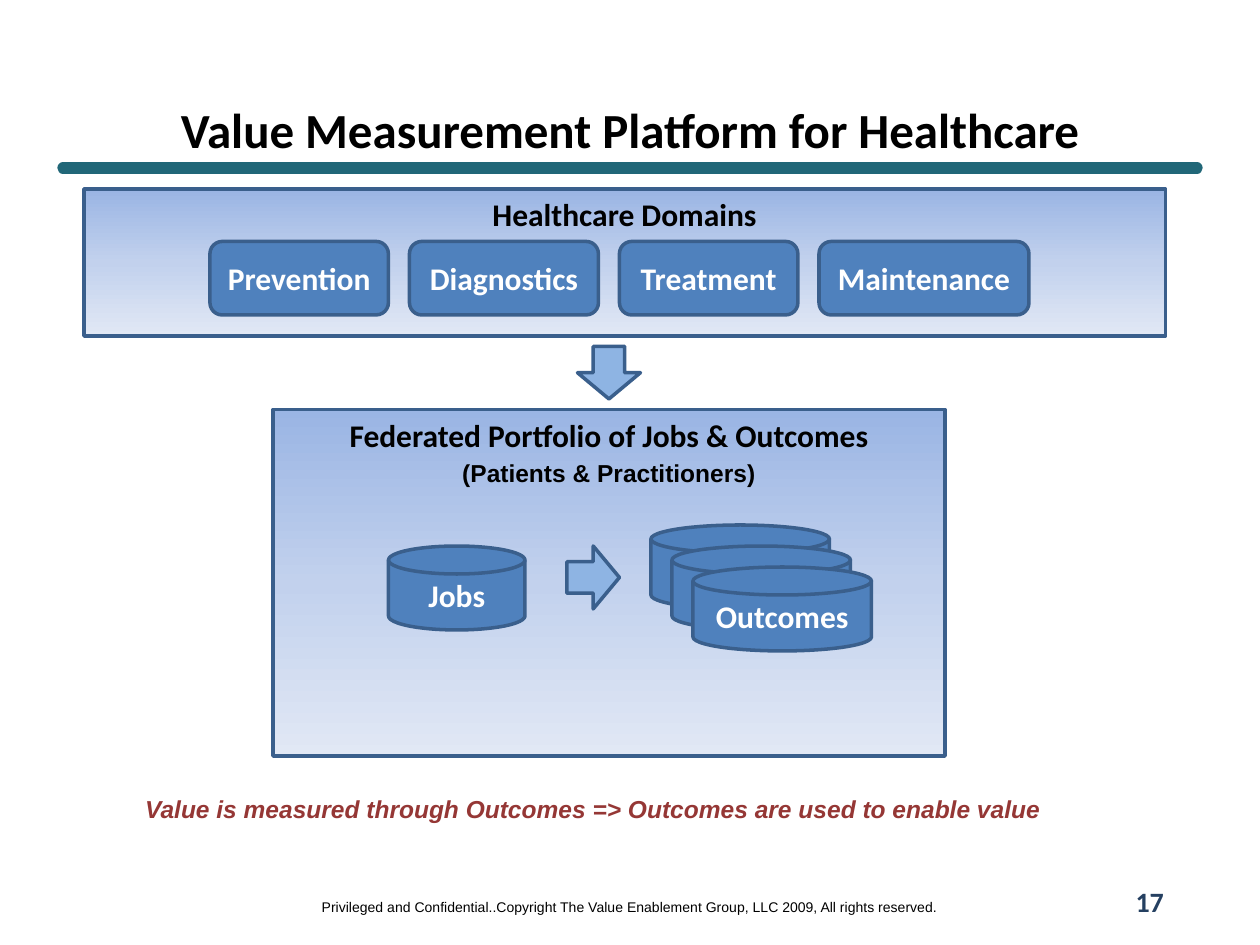
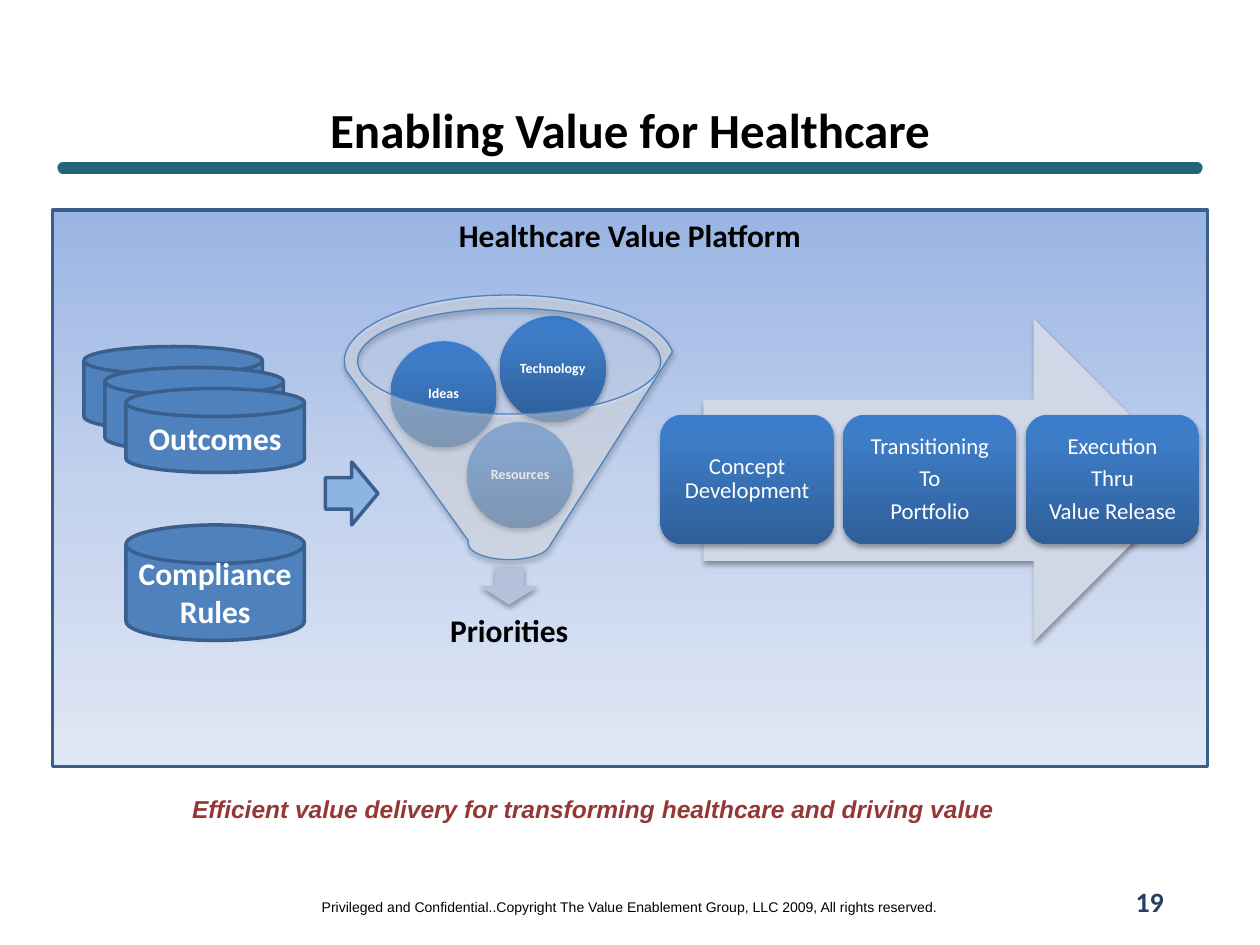
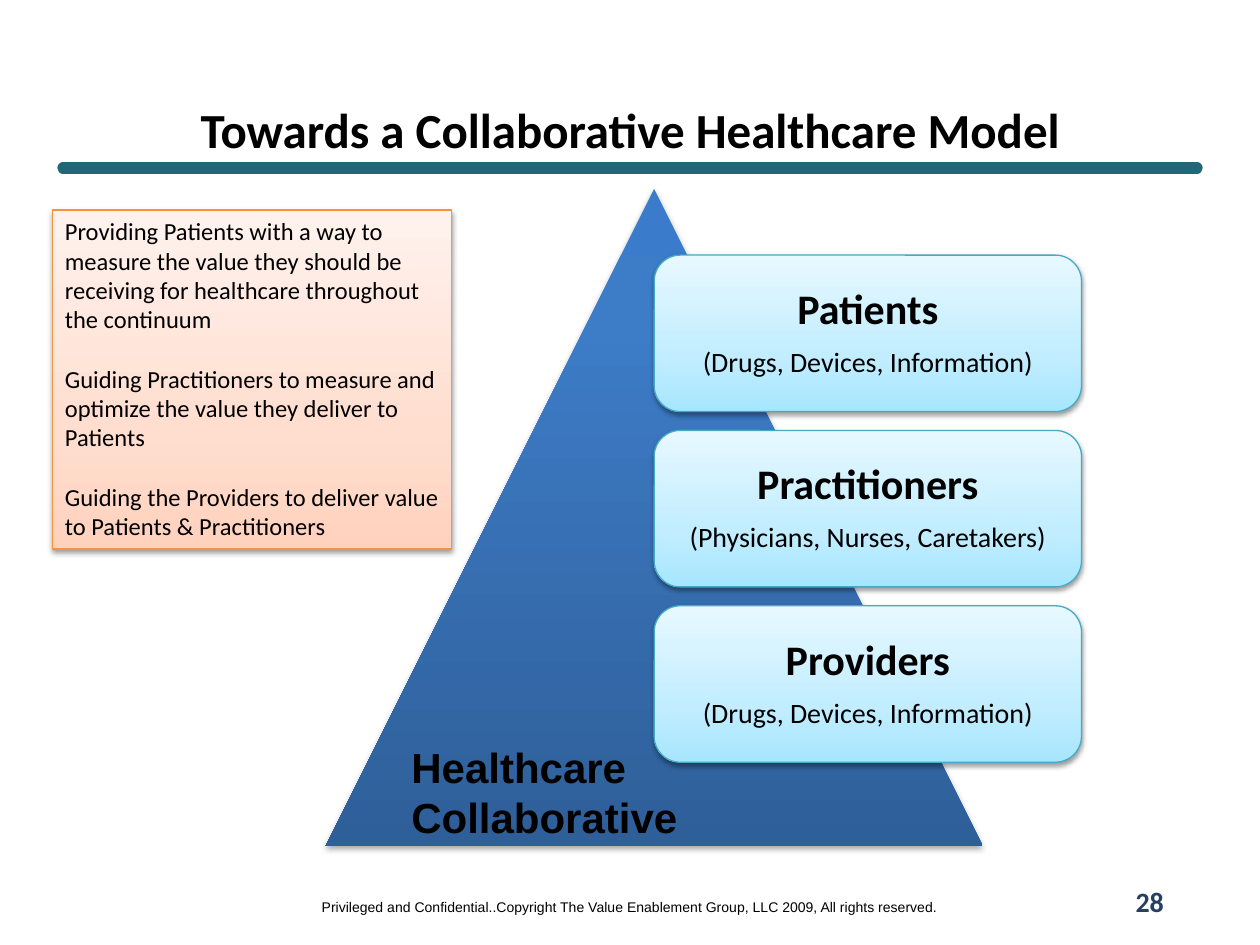
import lxml.etree
import pptx
import pptx.dml.color
import pptx.enum.shapes
import pptx.enum.text
import pptx.oxml.ns
import pptx.util

RGB = pptx.dml.color.RGBColor
Pt = pptx.util.Pt
PRESET = pptx.enum.shapes.MSO_SHAPE
ALIGN = pptx.enum.text.PP_ALIGN
ANCHOR = pptx.enum.text.MSO_ANCHOR
qn = pptx.oxml.ns.qn

COLUMNS, ROWS = 120, 90
CELL = pptx.util.Inches(10) / COLUMNS

BLACK = RGB(0x00, 0x00, 0x00)
WHITE = RGB(0xFF, 0xFF, 0xFF)
TEAL = RGB(0x21, 0x67, 0x78)
NAVY = RGB(0x25, 0x40, 0x61)
BRICK = RGB(0x95, 0x37, 0x35)
BLUE = RGB(0x4F, 0x81, 0xBD)
EDGE_BLUE = RGB(0x3A, 0x5F, 0x8C)
ARROW_BLUE = RGB(0x8E, 0xB4, 0xE3)
RIM_BLUE = RGB(0xC2, 0xCD, 0xE1)
SPOUT_BLUE = RGB(0xB3, 0xC1, 0xDB)
PALE_BLUE = RGB(0xD0, 0xD8, 0xE8)
EDGE_AQUA = RGB(0x46, 0xAA, 0xC5)
EDGE_ORANGE = RGB(0xF6, 0x92, 0x40)

PANEL_FADE = [(0, RGB(0x9A, 0xB5, 0xE4)), (50, RGB(0xC2, 0xD1, 0xED)), (100, RGB(0xE1, 0xE8, 0xF5))]
DEEP_FADE = [(0, RGB(0x3A, 0x7C, 0xCB)), (20, RGB(0x3D, 0x7C, 0xC7)), (100, RGB(0x2F, 0x5F, 0x99))]
AQUA_FADE = [(0, RGB(0xE7, 0xF8, 0xFF)), (65, RGB(0xC1, 0xED, 0xFF)), (100, RGB(0xA7, 0xE6, 0xFF))]
PEACH_FADE = [(0, RGB(0xFF, 0xF2, 0xED)), (65, RGB(0xFF, 0xDE, 0xD0)), (100, RGB(0xFF, 0xD2, 0xBD))]

SOFT_SHADOW = {"alpha": 35, "dist": 1.8}
CARD_SHADOW = {"alpha": 38, "dist": 1.6}


def text_style(size, color=BLACK, name="Calibri", bold=True, italic=False, **paragraph):
    return {
        "font": {"name": name, "size": Pt(size), "bold": bold, "italic": italic},
        "color": color,
        "paragraph": {"alignment": ALIGN.CENTER, **paragraph},
    }


def spaced_style(size, color=BLACK, bold=True):
    return text_style(size, color, bold=bold, line_spacing=0.9, space_after=Pt(size * 0.35))


TITLE = text_style(28)
HEADING = text_style(18)
LABEL = text_style(18, WHITE)
SUBHEADING = text_style(14, name="Arial")
TAKEAWAY = text_style(14, BRICK, "Arial", italic=True)
FOOTER = text_style(8, name="Arial", bold=False)
PAGE_NUMBER = text_style(16, NAVY)
PRIORITY = spaced_style(18)
INGREDIENT = spaced_style(8, WHITE)
STEP = spaced_style(13, WHITE, bold=False)
PARTY = spaced_style(24)
PARTY_DETAIL = spaced_style(16, bold=False)
PYRAMID_LABEL = text_style(24, name="Arial", alignment=ALIGN.LEFT)
GOAL = text_style(14, bold=False, alignment=ALIGN.LEFT)
NEXT_GOAL = text_style(14, bold=False, alignment=ALIGN.LEFT, space_before=Pt(17))


def apply(target, values):
    for attribute, value in values.items():
        setattr(target, attribute, value)


def cells(*lengths):
    return [round(length * CELL) for length in lengths]


def write(holder, lines, anchor=ANCHOR.MIDDLE, inset=None):
    frame = holder.text_frame
    apply(frame, {"word_wrap": True, "vertical_anchor": anchor})
    if inset is not None:
        margin = pptx.util.Inches(inset)
        apply(frame, {f"margin_{side}": margin for side in ("left", "top", "right", "bottom")})
    for index, (text, style) in enumerate(lines):
        paragraph = frame.add_paragraph() if index else frame.paragraphs[0]
        apply(paragraph, style["paragraph"])
        run = paragraph.add_run()
        run.text = text
        apply(run.font, style["font"])
        run.font.color.rgb = style["color"]


def add_text(slide, box, lines, **layout):
    write(slide.shapes.add_textbox(*cells(*box)), lines, **layout)


def add_child(parent, tag, **attributes):
    child = lxml.etree.SubElement(parent, qn(tag))
    for key, value in attributes.items():
        child.set(key, str(value))
    return child


def fade(shape, stops):
    shape.fill.gradient()
    shape.fill.gradient_angle = 270
    stop_list = next(shape.element.spPr.iter(qn("a:gsLst")))
    for stop in list(stop_list):
        stop_list.remove(stop)
    for position, color in stops:
        stop = add_child(stop_list, "a:gs", pos=position * 1000)
        add_child(stop, "a:srgbClr", val=color)


def cast_shadow(shape, alpha, dist):
    effects = shape.element.spPr.find(qn("a:effectLst"))
    outer = add_child(effects, "a:outerShdw", blurRad=Pt(3.1), dist=Pt(dist), dir=5400000, rotWithShape=0)
    add_child(add_child(outer, "a:srgbClr", val=BLACK), "a:alpha", val=alpha * 1000)


def add_figure(slide, preset, box, fill, edge=None, weight=2, opacity=None, shadow=None, lines=(), **layout):
    shape = slide.shapes.add_shape(preset, *cells(*box))
    shape.shadow.inherit = False
    if isinstance(fill, list):
        fade(shape, fill)
    else:
        shape.fill.solid()
        shape.fill.fore_color.rgb = fill
    if opacity:
        color = next(shape.element.spPr.iter(qn("a:srgbClr")))
        add_child(color, "a:alpha", val=opacity * 1000)
    if edge is None:
        shape.line.fill.background()
    else:
        shape.line.color.rgb = edge
        shape.line.width = Pt(weight)
    if shadow:
        cast_shadow(shape, **shadow)
    write(shape, lines, **layout)


def add_panel(slide, box, heading):
    add_figure(slide, PRESET.FLOWCHART_PROCESS, box, PANEL_FADE, EDGE_BLUE,
               lines=[(heading, HEADING)], anchor=ANCHOR.TOP)


def add_disk(slide, box, *labels):
    add_figure(slide, PRESET.FLOWCHART_MAGNETIC_DISK, box, BLUE, EDGE_BLUE,
               lines=[(label, LABEL) for label in labels])


def add_outcomes(slide, column, row):
    for step, labels in enumerate([(), (), ("Outcomes",)]):
        add_disk(slide, (column + 2 * step, row + 2 * step, 17, 8), *labels)


def add_flow_arrow(slide, preset, box):
    add_figure(slide, preset, box, ARROW_BLUE, EDGE_BLUE)


def add_takeaway(slide, text):
    add_text(slide, (11, 75, 91, 4), [(text, TAKEAWAY)], anchor=ANCHOR.TOP)


def start_slide(deck, title, number):
    slide = deck.slides.add_slide(deck.slide_layouts[6])
    rule = slide.shapes.add_connector(pptx.enum.shapes.MSO_CONNECTOR.STRAIGHT, *cells(6, 16, 114, 16))
    rule.line.color.rgb = TEAL
    rule.line.width = Pt(6.5)
    rule.element.spPr.find(qn("a:ln")).set("cap", "rnd")
    add_child(rule.element.spPr, "a:effectLst")
    add_text(slide, (29, 85, 62, 3), [(
        "Privileged and Confidential..Copyright The Value Enablement Group, LLC 2009, All rights reserved.",
        FOOTER)], anchor=ANCHOR.TOP)
    add_text(slide, (6, 10, 108, 4.5), [(title, TITLE)])
    add_text(slide, (105, 83.4, 9, 4.8), [(str(number), PAGE_NUMBER)])
    return slide


def build_measurement(deck):
    slide = start_slide(deck, "Value Measurement Platform for Healthcare", 17)
    add_panel(slide, (26, 39, 64, 33), "Federated Portfolio of Jobs & Outcomes")
    add_outcomes(slide, 62, 50)
    add_disk(slide, (37, 52, 13, 8), "Jobs")
    add_panel(slide, (8, 18, 103, 14), "Healthcare Domains")
    column = 20
    for domain, width in [("Prevention", 17), ("Diagnostics", 18), ("Treatment", 17), ("Maintenance", 20)]:
        add_figure(slide, PRESET.ROUNDED_RECTANGLE, (column, 23, width, 7), BLUE, EDGE_BLUE,
                   lines=[(domain, LABEL)])
        column += width + 2
    add_flow_arrow(slide, PRESET.DOWN_ARROW, (55, 33, 6, 5))
    add_flow_arrow(slide, PRESET.RIGHT_ARROW, (54, 52, 5, 6))
    add_text(slide, (41, 43, 34, 4), [("(Patients & Practitioners)", SUBHEADING)], anchor=ANCHOR.TOP)
    add_takeaway(slide, "Value is measured through Outcomes => Outcomes are used to enable value")


def add_funnel(slide):
    add_figure(slide, PRESET.OVAL, (34, 29.3, 29, 10.1), RIM_BLUE, opacity=40)
    add_figure(slide, PRESET.DOWN_ARROW, (45.7, 54, 5.6, 3.6), SPOUT_BLUE, shadow=SOFT_SHADOW)
    add_text(slide, (35, 56.9, 27, 6.7), [("Priorities", PRIORITY)], inset=0.14)
    for ingredient, column, row in [("Resources", 44.5, 40.2), ("Ideas", 37.2, 32.5), ("Technology", 47.6, 30.1)]:
        add_figure(slide, PRESET.OVAL, (column, row, 10.1, 10.1), DEEP_FADE, shadow=SOFT_SHADOW,
                   lines=[(ingredient, INGREDIENT)], inset=0.01)
    add_figure(slide, PRESET.FUNNEL, (32.8, 28.1, 31.4, 25.2), WHITE, BLUE, 0.75, opacity=40, shadow=SOFT_SHADOW)


def build_enabling(deck):
    slide = start_slide(deck, "Enabling Value for Healthcare", 19)
    add_panel(slide, (5, 20, 110, 53), "Healthcare Value Platform")
    add_outcomes(slide, 8, 33)
    add_flow_arrow(slide, PRESET.RIGHT_ARROW, (31, 44, 5, 6))
    add_funnel(slide)
    add_disk(slide, (12, 50, 17, 11), "Compliance", "Rules")
    add_figure(slide, PRESET.RIGHT_ARROW, (67, 30.4, 46.8, 30.7), PALE_BLUE, shadow=SOFT_SHADOW)
    stages = [["Concept Development"], ["Transitioning", "To", "Portfolio"], ["Execution", "Thru", "Value Release"]]
    for index, stage in enumerate(stages):
        add_figure(slide, PRESET.ROUNDED_RECTANGLE, (62.9 + 17.4 * index, 39.5, 16.5, 12.3), DEEP_FADE,
                   shadow=SOFT_SHADOW, lines=[(line, STEP) for line in stage], inset=0.05)
    add_takeaway(slide, "Efficient value delivery for transforming healthcare and driving value")


def build_collaborative(deck):
    slide = start_slide(deck, "Towards a Collaborative Healthcare Model", 28)
    add_figure(slide, PRESET.ISOSCELES_TRIANGLE, (31, 18, 62.6, 62.6), DEEP_FADE, shadow=SOFT_SHADOW)
    parties = [
        ("Patients", "(Drugs, Devices, Information)"),
        ("Practitioners", "(Physicians, Nurses, Caretakers)"),
        ("Providers", "(Drugs, Devices, Information)"),
    ]
    for index, (party, detail) in enumerate(parties):
        add_figure(slide, PRESET.ROUNDED_RECTANGLE, (62.3, 24.3 + 16.7 * index, 40.7, 14.9), AQUA_FADE,
                   EDGE_AQUA, 0.75, shadow=CARD_SHADOW,
                   lines=[(party, PARTY), (detail, PARTY_DETAIL)], inset=0.1)
    add_text(slide, (38, 70, 29, 11), [("Healthcare Collaborative", PYRAMID_LABEL)], anchor=ANCHOR.TOP)
    goals = [
        ("Providing Patients with a way to measure the value they should be receiving "
         "for healthcare throughout the continuum", GOAL),
        ("Guiding Practitioners to measure and optimize the value they deliver to Patients", NEXT_GOAL),
        ("Guiding the Providers to deliver value to Patients & Practitioners", NEXT_GOAL),
    ]
    add_figure(slide, PRESET.RECTANGLE, (5, 20, 38, 32.3), PEACH_FADE, EDGE_ORANGE, 0.75,
               shadow=CARD_SHADOW, lines=goals, anchor=ANCHOR.TOP)


def main():
    deck = pptx.Presentation()
    apply(deck, {"slide_width": round(COLUMNS * CELL), "slide_height": round(ROWS * CELL)})
    for build in (build_measurement, build_enabling, build_collaborative):
        build(deck)
    deck.save("out.pptx")


if __name__ == "__main__":
    main()
